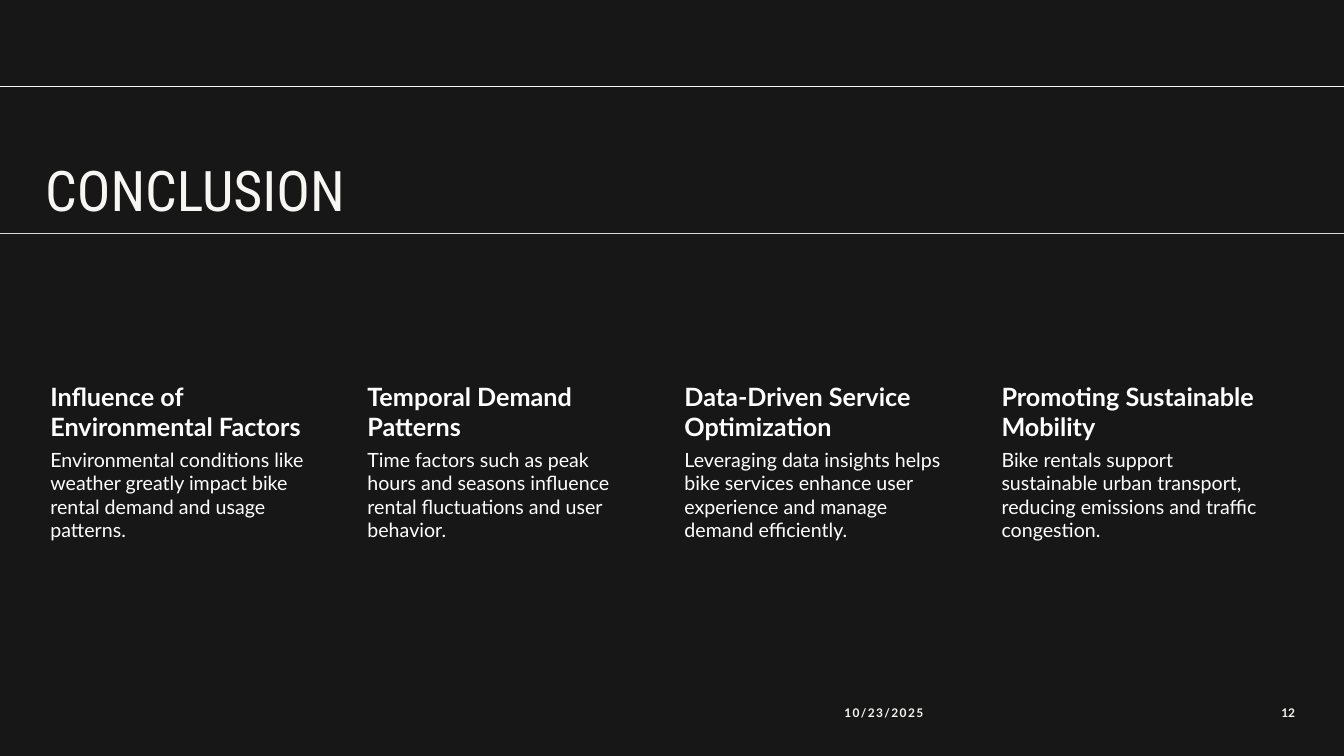
from pptx import Presentation
from pptx.dml.color import RGBColor
from pptx.enum.shapes import MSO_CONNECTOR as Connector
from pptx.enum.text import MSO_ANCHOR as Anchor, MSO_AUTO_SIZE as AutoSize, PP_ALIGN as Align
from pptx.oxml.ns import qn
from pptx.util import Cm, Pt
from lxml.etree import SubElement

TITLE = "CONCLUSION"
TAKEAWAYS = [
    ("Influence of Environmental Factors",
     "Environmental conditions like weather greatly impact bike rental demand and usage patterns."),
    ("Temporal Demand Patterns",
     "Time factors such as peak hours and seasons influence rental fluctuations and user behavior."),
    ("Data-Driven Service Optimization",
     "Leveraging data insights helps bike services enhance user experience and manage demand efficiently."),
    ("Promoting Sustainable Mobility",
     "Bike rentals support sustainable urban transport, reducing emissions and traffic congestion."),
]
DATE = "10/23/2025"
PAGE = "12"
COLORS = {"background": "171717", "ivory": "F7F6F3", "rule": "D9D9D9", "white": "FFFFFF"}
RULES = [(2.19, "ivory"), (5.89, "rule")]

SLIDE_WIDTH, SLIDE_HEIGHT = 33.87, 19.05
LEFT, COLUMN_PITCH, COLUMN_WIDTH = 0.89, 7.99, 7.26
HEADING_TOP, HEADING_HEIGHT, BODY_HEIGHT = 9.53, 1.7, 6.02
FOOTER_TOP, FOOTER_HEIGHT = 17.4, 1.14
DEFAULT_INSETS = (0.25, 0.13, 0.25, 0.13)


def color(name):
    return RGBColor.from_string(COLORS[name])


def write(shape, text, size, color_name, font="Lato", bold=False, anchor=Anchor.TOP,
          align=Align.LEFT, insets=DEFAULT_INSETS, after=0, spacing=1.0, tracking=0):
    frame = shape.text_frame
    frame.word_wrap = True
    frame.auto_size = AutoSize.NONE
    frame.vertical_anchor = anchor
    frame.margin_left, frame.margin_top, frame.margin_right, frame.margin_bottom = map(Cm, insets)
    paragraph = frame.paragraphs[0]
    paragraph.alignment = align
    paragraph.line_spacing = spacing
    paragraph.space_before = Pt(0)
    paragraph.space_after = Pt(after)
    run = paragraph.add_run()
    run.text = text
    run.font.name = font
    run.font.size = Pt(size)
    run.font.bold = bold
    run.font.color.rgb = color(color_name)
    if tracking:
        run.font._element.set("spc", str(tracking * 100))


def add_text(slide, box, text, size, color_name, **style):
    write(slide.shapes.add_textbox(*map(Cm, box)), text, size, color_name, **style)


def add_rule(slide, top, color_name):
    rule = slide.shapes.add_connector(Connector.STRAIGHT, 0, Cm(top), Cm(SLIDE_WIDTH), Cm(top))
    rule.line.color.rgb = color(color_name)
    rule.line.width = Pt(0.75)
    SubElement(rule._element.spPr, qn("a:effectLst"))


def main():
    presentation = Presentation()
    presentation.slide_width, presentation.slide_height = Cm(SLIDE_WIDTH), Cm(SLIDE_HEIGHT)
    slide = presentation.slides.add_slide(presentation.slide_layouts[5])
    slide.background.fill.solid()
    slide.background.fill.fore_color.rgb = color("background")

    for top, color_name in RULES:
        add_rule(slide, top, color_name)

    title = slide.shapes.title
    title.left, title.top, title.width, title.height = map(Cm, (LEFT, 2.31, 31.27, 3.4))
    write(title, TITLE, 40, "ivory", font="Roboto Condensed", anchor=Anchor.BOTTOM, spacing=0.7)

    footer = dict(bold=True, anchor=Anchor.MIDDLE, after=6)
    add_text(slide, (21.03, FOOTER_TOP, 5.36, FOOTER_HEIGHT), DATE, 8.5, "ivory", tracking=1, **footer)
    add_text(slide, (31.37, FOOTER_TOP, 1.52, FOOTER_HEIGHT), PAGE, 8.5, "ivory", align=Align.RIGHT, **footer)

    for column, (heading, body) in enumerate(TAKEAWAYS):
        left = LEFT + column * COLUMN_PITCH
        add_text(slide, (left, HEADING_TOP, COLUMN_WIDTH, HEADING_HEIGHT), heading, 18, "white",
                 bold=True, insets=(0.38, 0.08, 0.08, 0.08))
        add_text(slide, (left, HEADING_TOP + HEADING_HEIGHT, COLUMN_WIDTH, BODY_HEIGHT), body, 14, "white",
                 insets=(0.38, 0.05, 0.05, 0.05))

    presentation.save("out.pptx")


if __name__ == "__main__":
    main()
